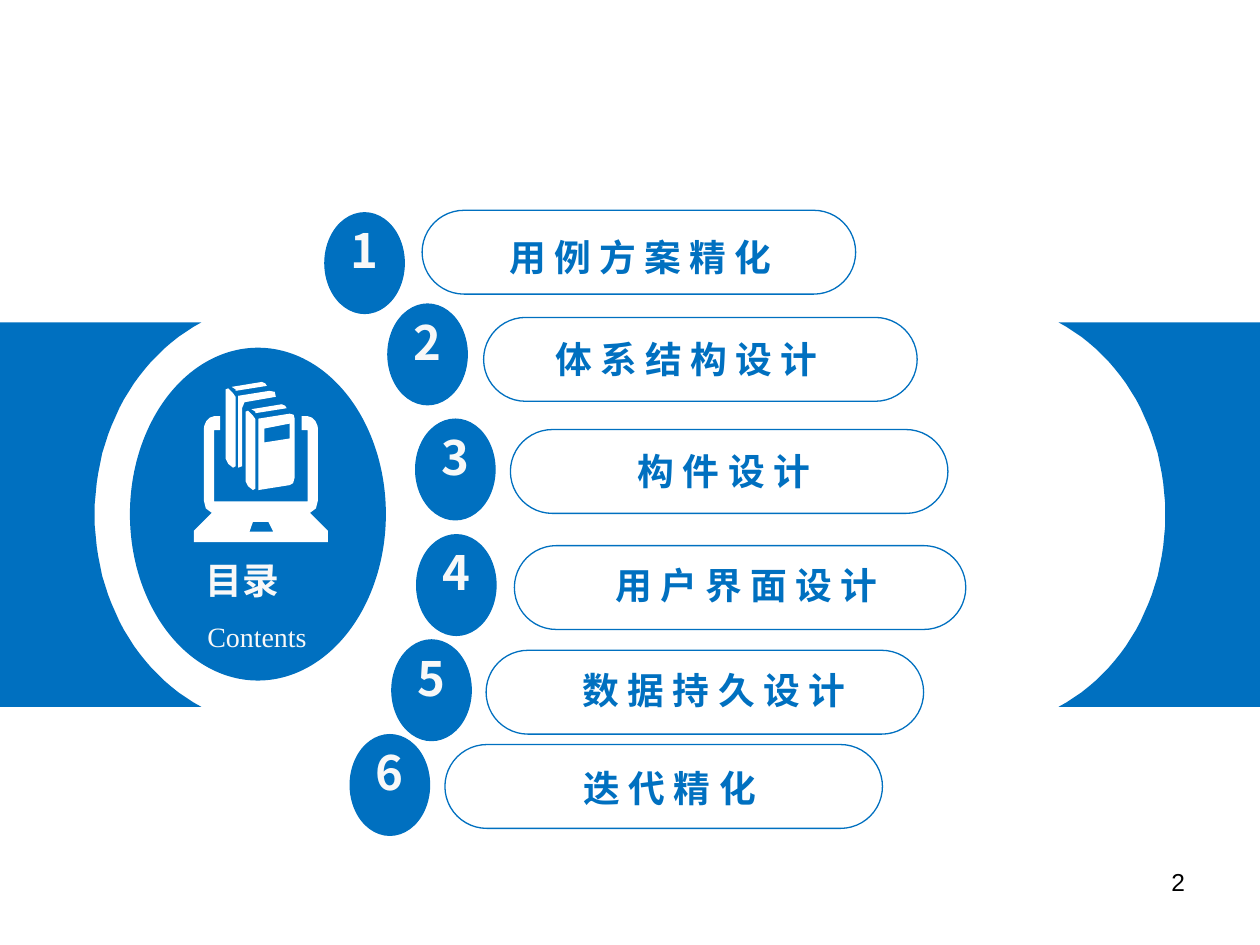
from lxml.etree import SubElement
from pptx import Presentation
from pptx.dml.color import RGBColor
from pptx.enum.shapes import MSO_SHAPE as Preset
from pptx.enum.text import PP_ALIGN as Align
from pptx.oxml.ns import qn
from pptx.util import Cm, Pt

COLORS = {"blue": "0070C0", "white": "FFFFFF", "pale": "F8F8F8", "black": "000000"}
CJK_FONT = "Noto Sans CJK SC"
SLIDE_WIDTH, SLIDE_HEIGHT = 25.4, 19.05
BADGE_SIZE = (1.6, 2.03)
PILL_HEIGHT = 1.69
UNIT = Cm(0.01)

# badge left, top; pill left, top, width; label left, top; wording
ITEMS = [
    ((6.55, 4.29), (8.51, 4.24, 8.74), (10.03, 4.62), "用 例 方 案 精 化"),
    ((7.82, 6.13), (9.75, 6.4, 8.74), (10.95, 6.68), "体 系 结 构 设 计"),
    ((8.38, 8.45), (10.29, 8.66, 8.82), (12.62, 8.94), "构 件 设 计"),
    ((8.4, 10.78), (10.37, 11, 9.1), (12.17, 11.23), "用 户 界 面 设 计"),
    ((7.9, 12.9), (9.8, 13.11, 8.82), (11.51, 13.36), "数 据 持 久 设 计"),
    ((7.06, 14.81), (8.97, 15.01, 8.82), (11.53, 15.32), "迭 代 精 化"),
]

BOOK_TOP = [(76, 10), (84, 15), (84, 18), (147, 8), (144, 3), (137, 0)]
BOOK_SPINE = [(69, 13), (79, 23), (84, 30), (84, 170), (79, 173), (69, 165),
              (64, 155), (64, 15)]
BACK_COVER = [(89, 28), (152, 18), (163, 20), (165, 30), (102, 41), (97, 53),
              (97, 170), (89, 173)]
FRONT_COVER = [(130, 74), (193, 64), (201, 66), (203, 74), (203, 193), (200, 204),
               (193, 208), (130, 218)]
BOOK_LABEL = [(142, 94), (193, 84), (193, 114), (142, 122)]
TOUCHPAD = [(119, 282), (150, 282), (160, 302), (112, 302)]
LAPTOP_HALF = [(41, 241), (41, 97), (53, 97), (53, 69), (41, 69), (32, 72), (25, 79),
               (21, 88), (20, 94), (20, 239), (24, 255), (36, 264), (0, 300), (0, 323)]


def color(name):
    return RGBColor.from_string(COLORS[name])


def paint(shape, fill=None, line=None):
    shape.shadow.inherit = False
    if fill:
        shape.fill.solid()
        shape.fill.fore_color.rgb = color(fill)
    else:
        shape.fill.background()
    if line:
        shape.line.color.rgb = color(line)
        shape.line.width = Pt(0.75)
    else:
        shape.line.fill.background()


def add_preset(slide, preset, left, top, width, height, fill=None, line=None):
    shape = slide.shapes.add_shape(preset, Cm(left), Cm(top), Cm(width), Cm(height))
    paint(shape, fill, line)
    return shape


def add_outline(slide, contours, fill, left=0, top=0):
    builder = slide.shapes.build_freeform(*contours[0][0], scale=UNIT)
    builder.add_line_segments(contours[0][1:])
    for contour in contours[1:]:
        builder.move_to(*contour[0])
        builder.add_line_segments(contour[1:])
    paint(builder.convert_to_shape(Cm(left), Cm(top)), fill)


def add_text(slide, text, left, top, width, height, size, fill,
             font=CJK_FONT, bold=True, align=Align.LEFT):
    box = slide.shapes.add_textbox(Cm(left), Cm(top), Cm(width), Cm(height))
    frame = box.text_frame
    frame.word_wrap = True
    frame.margin_left = frame.margin_right = Cm(0.24)
    frame.margin_top = frame.margin_bottom = Cm(0.11)
    paragraph = frame.paragraphs[0]
    paragraph.text = text
    paragraph.alignment = align
    paragraph.font.size = Pt(size)
    paragraph.font.bold = bold
    paragraph.font.color.rgb = color(fill)
    paragraph.font.name = font
    SubElement(paragraph.font._rPr, qn("a:ea")).set("typeface", font)


def bezier(points, steps=24):
    def at(t):
        weights = ((1 - t) ** 3, 3 * t * (1 - t) ** 2, 3 * t * t * (1 - t), t ** 3)
        return tuple(sum(w * p[axis] for w, p in zip(weights, points)) for axis in (0, 1))
    return [at(step / steps) for step in range(steps + 1)]


def mirror(points, width):
    return [(width - x, y) for x, y in points]


def add_side_bands(slide):
    top, middle, bottom = 650, 1037.5, 1425
    upper = bezier([(406, top), (277, 719), (191, 866), (191, middle)])
    lower = [(x, 2 * middle - y) for x, y in reversed(upper)]
    left_band = [(0, bottom), (0, top)] + upper + lower[1:]
    for band in (left_band, mirror(left_band, 100 * SLIDE_WIDTH)):
        add_outline(slide, [band], "blue")


def add_book_icon(slide):
    front_book = [[(x + 40, y + 45) for x, y in part] for part in (BOOK_TOP, BOOK_SPINE)]
    laptop = LAPTOP_HALF + mirror(reversed(LAPTOP_HALF), 270)
    contours = [BOOK_TOP, BOOK_SPINE, BACK_COVER, *front_book, FRONT_COVER,
                BOOK_LABEL, TOUCHPAD, laptop]
    closed = [contour + contour[:1] for contour in contours]
    add_outline(slide, closed, "white", 3.91, 7.7)


def add_contents_hub(slide):
    add_preset(slide, Preset.OVAL, 2.62, 7.01, 5.16, 6.71, "blue")
    add_book_icon(slide)
    add_text(slide, "目录", 3.91, 11.13, 2.54, 1.12, 21, "pale")
    add_text(slide, "Contents", 3.94, 12.37, 2.75, 0.91, 16, "pale",
             font="Times New Roman", bold=False)


def add_item(slide, number, badge, pill, label, text):
    add_preset(slide, Preset.OVAL, *badge, *BADGE_SIZE, "blue", "blue")
    add_text(slide, str(number), badge[0] + 0.28, badge[1] + 0.07, 1.15, 1.37, 27, "pale")
    outline = add_preset(slide, Preset.ROUNDED_RECTANGLE, *pill, PILL_HEIGHT, line="blue")
    outline.adjustments[0] = 0.5
    add_text(slide, text, *label, 1 + 0.46 * len(text), 1.12, 21, "blue")


def main():
    presentation = Presentation()
    presentation.slide_width = Cm(SLIDE_WIDTH)
    presentation.slide_height = Cm(SLIDE_HEIGHT)
    slide = presentation.slides.add_slide(presentation.slide_layouts[6])
    add_side_bands(slide)
    add_contents_hub(slide)
    for number, item in enumerate(ITEMS, start=1):
        add_item(slide, number, *item)
    add_text(slide, "2", 18.21, 17.37, 5.92, 1.32, 14, "black",
             font="Arial", bold=False, align=Align.RIGHT)
    presentation.save("out.pptx")


if __name__ == "__main__":
    main()
